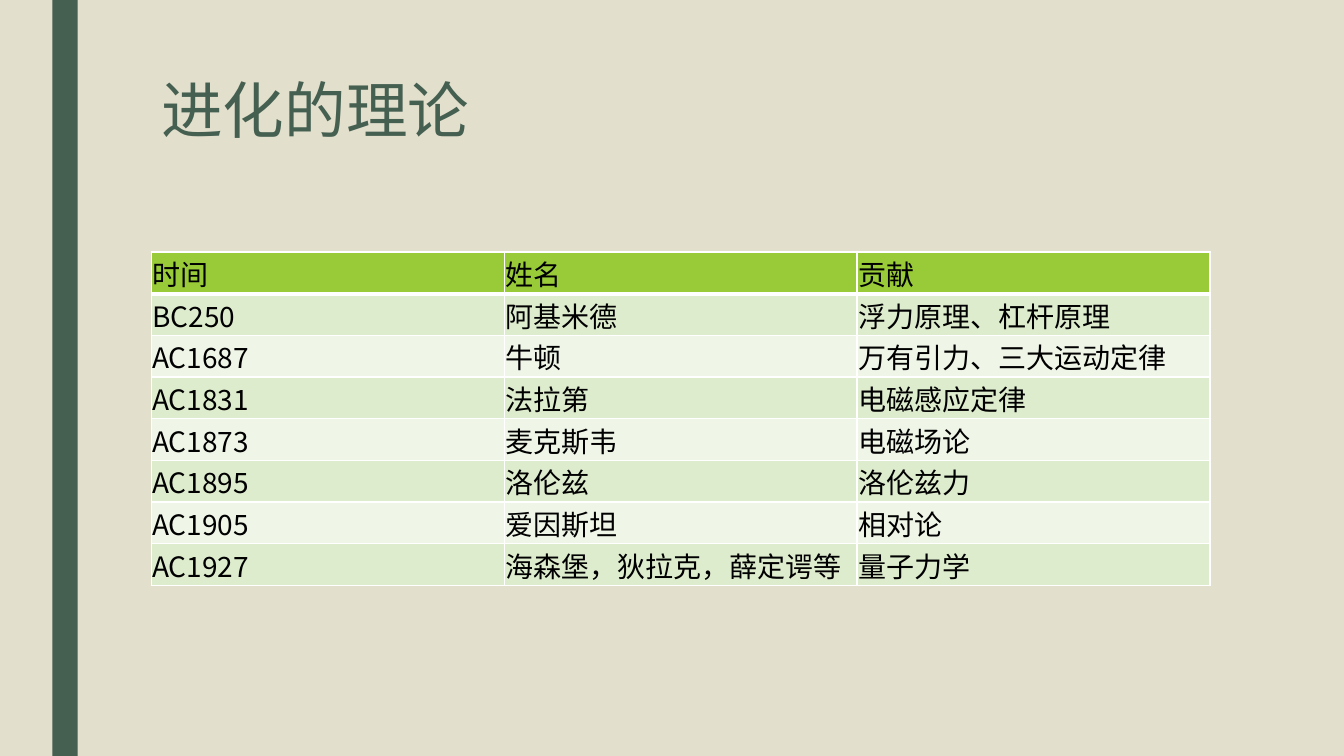
from lxml import etree
from pptx import Presentation
from pptx.dml.color import RGBColor
from pptx.enum.shapes import MSO_SHAPE
from pptx.enum.text import MSO_ANCHOR, PP_ALIGN
from pptx.oxml.ns import qn
from pptx.util import Inches, Pt

RECTANGLE = MSO_SHAPE.RECTANGLE
TOP = MSO_ANCHOR.TOP
BOTTOM = MSO_ANCHOR.BOTTOM
LEFT = PP_ALIGN.LEFT

WIDTH, HEIGHT = 13.33, 7.5
MARGIN = 1.5
COLUMN_WIDTH, ROW_HEIGHT = 3.5, 0.405
CHINESE_FONT = "Noto Sans CJK SC"
GREEN, BACKGROUND, WHITE, BLACK = "455F51", "E2DFCC", "FFFFFF", "000000"
HEADER_FILL = "99CB38"
BAND_FILLS = ("EFF6E8", "DEECCE")

THEORIES = [
    ("时间", "姓名", "贡献"),
    ("BC250", "阿基米德", "浮力原理、杠杆原理"),
    ("AC1687", "牛顿", "万有引力、三大运动定律"),
    ("AC1831", "法拉第", "电磁感应定律"),
    ("AC1873", "麦克斯韦", "电磁场论"),
    ("AC1895", "洛伦兹", "洛伦兹力"),
    ("AC1905", "爱因斯坦", "相对论"),
    ("AC1927", "海森堡，狄拉克，薛定谔等", "量子力学"),
]


def paint(fill, color):
    fill.solid()
    fill.fore_color.rgb = RGBColor.from_string(color)


def format_text(text_frame, font_name, size, color):
    for paragraph in text_frame.paragraphs:
        paragraph.alignment = LEFT
        for run in paragraph.runs:
            run.font.name = font_name
            run.font.size = Pt(size)
            run.font.bold = False
            run.font.color.rgb = RGBColor.from_string(color)
            east_asian = etree.Element(qn("a:ea"), typeface=CHINESE_FONT)
            run.font._element.find(qn("a:latin")).addnext(east_asian)


def set_borders(cell, widths):
    properties = cell._tc.get_or_add_tcPr()
    for side, width in widths.items():
        line = etree.SubElement(properties, qn(f"a:ln{side}"), w=str(Pt(width)))
        fill = etree.SubElement(line, qn("a:solidFill"))
        etree.SubElement(fill, qn("a:srgbClr"), val=WHITE)


def add_side_bar(slide):
    bar = slide.shapes.add_shape(
        RECTANGLE, Inches(0.52), 0, Inches(0.25), Inches(HEIGHT))
    bar.shadow.inherit = False
    paint(bar.fill, GREEN)
    bar.line.fill.background()


def set_title(slide, text):
    title = slide.shapes.title
    title.left, title.top = Inches(MARGIN), Inches(0.75)
    title.width, title.height = Inches(3 * COLUMN_WIDTH), Inches(1.62)
    text_frame = title.text_frame
    text_frame.text = text
    text_frame.vertical_anchor = TOP
    text_frame.paragraphs[0].line_spacing = 0.89
    format_text(text_frame, "Cabin", 44, GREEN)


def fill_cell(cell, text, row):
    cell.text = text
    cell.vertical_anchor = BOTTOM
    cell.margin_left = cell.margin_right = cell.margin_top = Inches(0.01)
    cell.margin_bottom = 0
    format_text(cell.text_frame, CHINESE_FONT, 20, BLACK)
    set_borders(cell, {"L": 1, "R": 1,
                       "T": 3 if row == 1 else 1,
                       "B": 3 if row == 0 else 1})
    paint(cell.fill, BAND_FILLS[row % 2] if row else HEADER_FILL)


def add_theory_table(slide, rows):
    column_count = len(rows[0])
    table = slide.shapes.add_table(
        len(rows), column_count, Inches(MARGIN), Inches(2.5),
        Inches(column_count * COLUMN_WIDTH),
        Inches(len(rows) * ROW_HEIGHT)).table
    for row, texts in enumerate(rows):
        table.rows[row].height = Inches(ROW_HEIGHT)
        for column, text in enumerate(texts):
            fill_cell(table.cell(row, column), text, row)


def main():
    presentation = Presentation()
    presentation.slide_width = Inches(WIDTH)
    presentation.slide_height = Inches(HEIGHT)
    slide = presentation.slides.add_slide(presentation.slide_layouts[5])
    paint(slide.background.fill, BACKGROUND)
    add_side_bar(slide)
    set_title(slide, "进化的理论")
    add_theory_table(slide, THEORIES)
    presentation.save("out.pptx")


if __name__ == "__main__":
    main()
